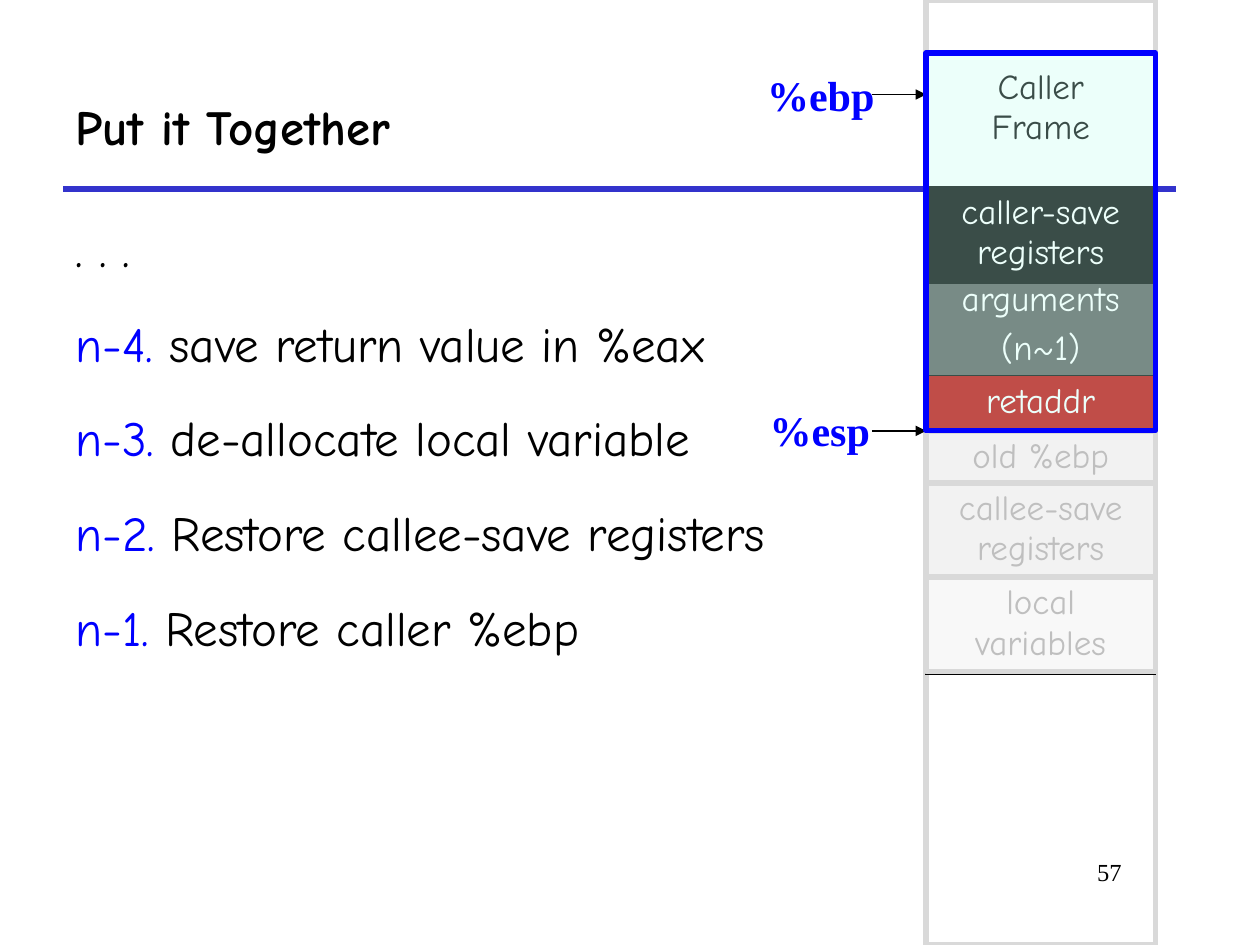
from lxml import etree
from pptx import Presentation
from pptx.dml.color import RGBColor
from pptx.enum.shapes import MSO_CONNECTOR, MSO_SHAPE
from pptx.enum.text import MSO_ANCHOR, PP_ALIGN
from pptx.oxml.ns import qn
from pptx.util import Inches, Pt

LINE = MSO_CONNECTOR.STRAIGHT
RECT = MSO_SHAPE.RECTANGLE
MIDDLE = MSO_ANCHOR.MIDDLE
LEFT, CENTER, RIGHT = PP_ALIGN.LEFT, PP_ALIGN.CENTER, PP_ALIGN.RIGHT

BLACK = RGBColor(0x00, 0x00, 0x00)
WHITE = RGBColor(0xFF, 0xFF, 0xFF)
BLUE = RGBColor(0x00, 0x00, 0xFF)
INDIGO = RGBColor(0x33, 0x33, 0xCC)
RED = RGBColor(0xC0, 0x00, 0x00)
SLATE = RGBColor(0x59, 0x59, 0x59)
SILVER = RGBColor(0xBF, 0xBF, 0xBF)
PALE = RGBColor(0xF2, 0xF2, 0xF2)
EDGE = RGBColor(0xD9, 0xD9, 0xD9)
MINT = RGBColor(0xC2, 0xFF, 0xF0)

SANS = "Comic Neue"
SERIF = "Times New Roman"

STEPS = [
    ("", ". . ."),
    ("n-4. ", "save return value in %eax"),
    ("n-3. ", "de-allocate local variable"),
    ("n-2. ", "Restore callee-save registers"),
    ("n-1. ", "Restore caller %ebp"),
]

# Top, height, paragraphs, fill, opacity, text colour, top margin
CELLS = [
    (2.17, 0.83, ["arguments", "(n~1)"], SLATE, 100, WHITE, 0.05),
    (1.48, 0.77, ["caller-save registers"], BLACK, 100, WHITE, 0.05),
    (3.42, 0.43, ["old %ebp"], PALE, 100, SILVER, 0.05),
    (2.98, 0.43, ["retaddr"], RED, 100, WHITE, 0.05),
    (0.42, 3.0, ["Caller\vFrame"], None, 100, BLACK, 0.12),
    (3.83, 0.77, ["callee-save registers"], PALE, 100, SILVER, 0.05),
    (4.58, 0.77, ["local variables"], SILVER, 10, SILVER, 0.05),
]


def style(font, name, size, color, bold=False):
    font.name, font.size, font.bold = name, Pt(size), bold
    font.color.rgb = color


def paint(item, color, alpha=100):
    """Fill a shape or cell; alpha is the opacity in percent."""
    if color is None:
        item.fill.background()
        return
    item.fill.solid()
    item.fill.fore_color.rgb = color
    if alpha < 100:
        node = item.fill._xPr.find(qn("a:solidFill"))[0]
        etree.SubElement(node, qn("a:alpha"), val=str(alpha * 1000))


def add_line(slide, x1, y1, x2, y2, color, width, arrow=False):
    line = slide.shapes.add_connector(
        LINE, Inches(x1), Inches(y1), Inches(x2), Inches(y2))
    line.line.color.rgb, line.line.width = color, Pt(width)
    if arrow:
        etree.SubElement(line.line._get_or_add_ln(), qn("a:tailEnd"),
                         type="triangle")
    etree.SubElement(line._element.spPr, qn("a:effectLst"))


def add_frame(slide, x, y, w, h, edge, fill=None, alpha=100):
    rect = slide.shapes.add_shape(RECT, Inches(x), Inches(y),
                                  Inches(w), Inches(h))
    rect.shadow.inherit = False
    paint(rect, fill, alpha)
    rect.line.color.rgb, rect.line.width = edge, Pt(3)


def add_label(slide, x, y, w, h, text, size, color, bold=False, align=LEFT):
    box = slide.shapes.add_textbox(Inches(x), Inches(y), Inches(w), Inches(h))
    para = box.text_frame.paragraphs[0]
    para.text, para.alignment = text, align
    style(para.font, SERIF, size, color, bold)
    return box


def add_title(slide, x, y, w, h):
    title = slide.shapes.title
    title.left, title.top = Inches(x), Inches(y)
    title.width, title.height = Inches(w), Inches(h)
    frame = title.text_frame
    frame.text, frame.vertical_anchor = "Put it Together", MIDDLE
    para = frame.paragraphs[0]
    para.alignment = LEFT
    style(para.font, SANS, 28, BLACK, True)
    # Rule under the title
    add_line(slide, x, y + h, x + w, y + h, INDIGO, 3)


def add_steps(slide, x, y, w, h):
    box = slide.shapes.add_textbox(Inches(x), Inches(y), Inches(w), Inches(h))
    frame = box.text_frame
    frame.word_wrap = True
    for i, (mark, text) in enumerate(STEPS):
        para = frame.add_paragraph() if i else frame.paragraphs[0]
        para.line_spacing, para.space_before = 1.4, Pt(7 if i else 0)
        for part, color in ((mark, BLUE), (text, BLACK)):
            if part:
                run = para.add_run()
                run.text = part
                style(run.font, SANS, 28, color)


def add_cell(slide, x, y, w, h, texts, fill, alpha, color, margin):
    table = slide.shapes.add_table(1, 1, Inches(x), Inches(y),
                                   Inches(w), Inches(h)).table
    table.first_row = table.horz_banding = False
    cell = table.cell(0, 0)
    cell.margin_top = Inches(margin)
    # Borders come before the fill in the cell properties
    props = cell._tc.get_or_add_tcPr()
    for side in ("a:lnL", "a:lnR", "a:lnT", "a:lnB"):
        edge = etree.SubElement(props, qn(side), w=str(Pt(1.08)))
        solid = etree.SubElement(edge, qn("a:solidFill"))
        etree.SubElement(solid, qn("a:srgbClr"), val=str(BLACK))
    paint(cell, fill, alpha)
    for i, text in enumerate(texts):
        frame = cell.text_frame
        para = frame.add_paragraph() if i else frame.paragraphs[0]
        para.text, para.alignment = text, CENTER
        para.space_before = Pt(5 if i else 0)
        style(para.font, SANS, 20, color)


def add_stack(slide, x, w):
    for top, high, *rest in CELLS:
        add_cell(slide, x, top, w, high, *rest)
    # Frames around the freed cells
    for top, high in ((4.58, 0.75), (3.83, 0.75), (3.42, 0.42)):
        add_frame(slide, x, top, w, high, EDGE)
    # Pointers into the stack
    for text, left, top, tip in (("%ebp", 5.99, 0.5, 0.75),
                                 ("%esp", 6.01, 3.16, 3.42)):
        label = add_label(slide, left, top, 1.05, 0.5, text, 24, BLUE, True)
        label.text_frame.word_wrap = False
        add_line(slide, 6.92, tip, x, tip, BLACK, 0.75, True)
    # Live part of the stack
    add_frame(slide, x, 0.42, w, 3, BLUE, MINT, 30)


def main():
    deck = Presentation()
    deck.slide_width, deck.slide_height = Inches(10), Inches(7.5)
    slide = deck.slides.add_slide(deck.slide_layouts[5])
    add_title(slide, 0.5, 0.5, 8.83, 1)
    add_frame(slide, 7.35, 0, 1.82, 7.5, EDGE)
    add_label(slide, 7.58, 6.75, 1.42, 0.5, "57", 14, BLACK,
              align=RIGHT).text_frame.word_wrap = True
    add_steps(slide, 0.5, 1.5, 9.5, 5.58)
    add_stack(slide, 7.35, 1.82)
    deck.save("out.pptx")


if __name__ == "__main__":
    main()
